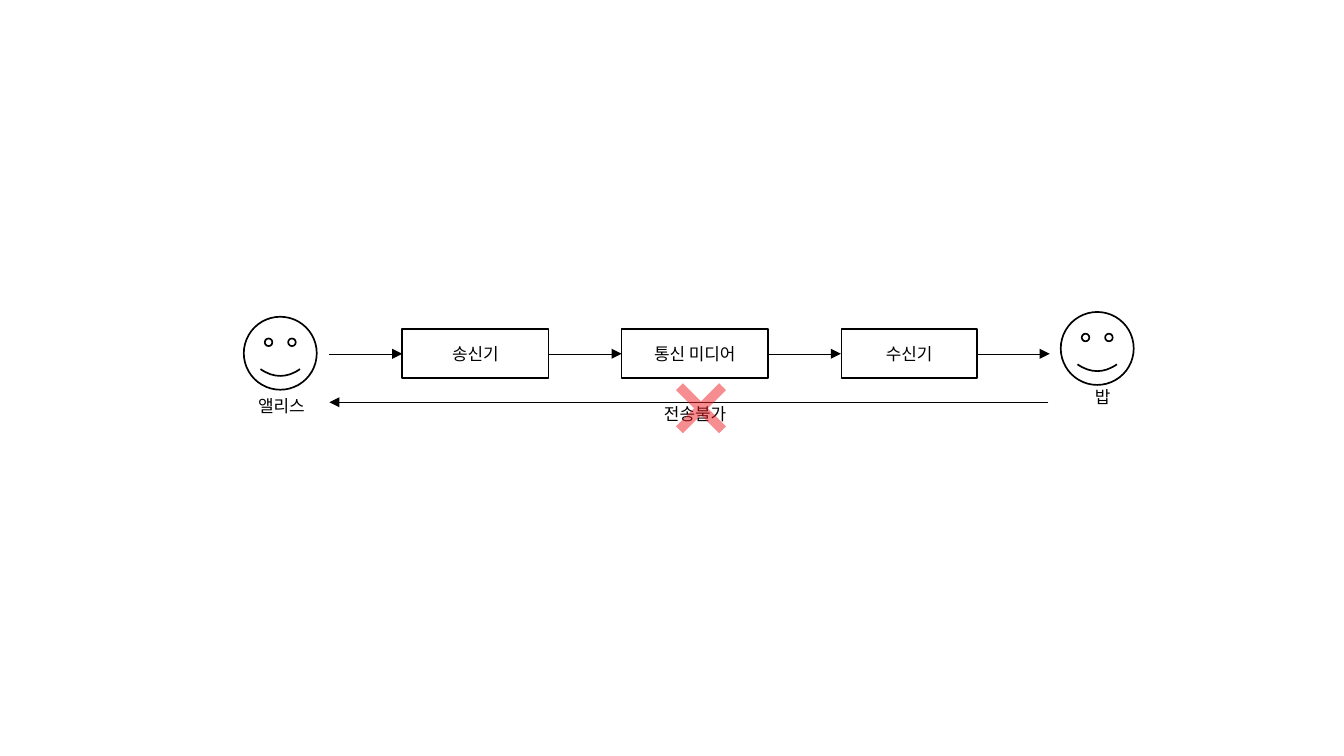
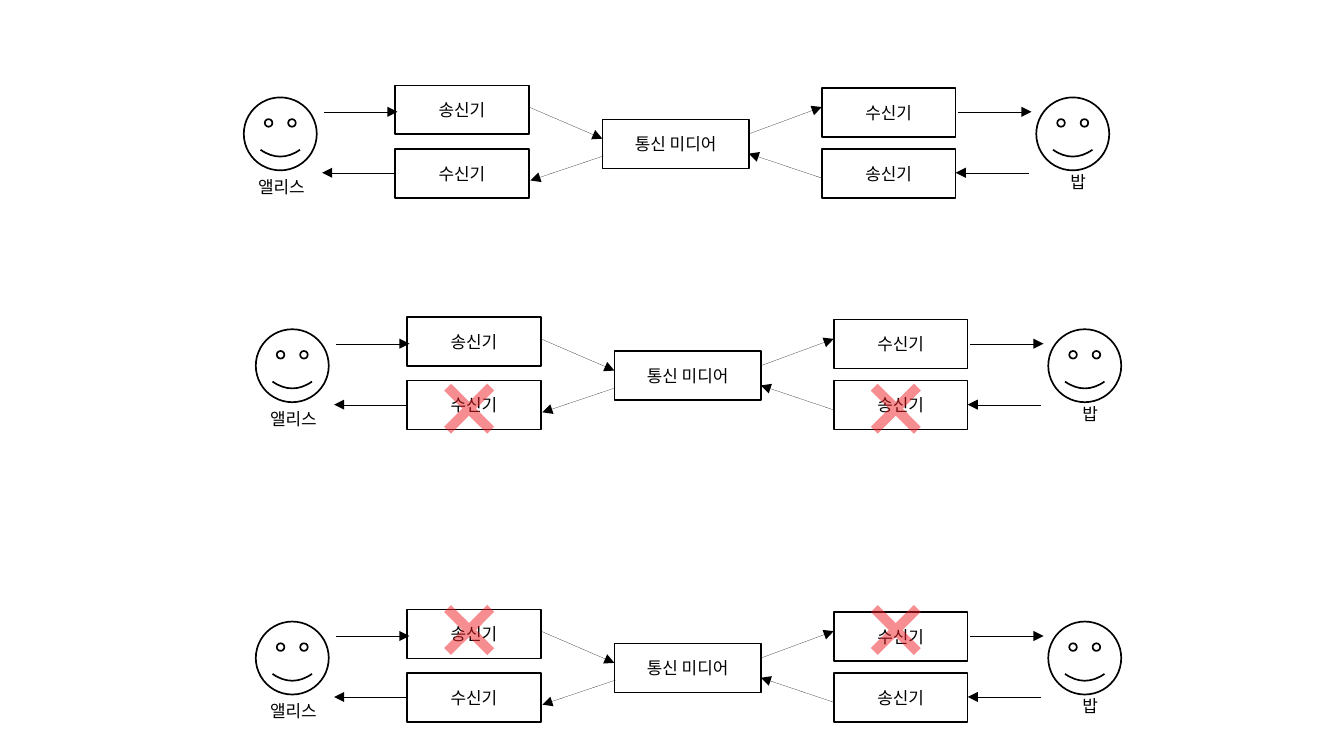
from lxml import etree
from pptx import Presentation
from pptx.dml.color import RGBColor
from pptx.enum import shapes, text
from pptx.oxml.ns import qn
from pptx.util import Cm, Pt

BLACK = RGBColor(0x00, 0x00, 0x00)
RED = RGBColor(0xED, 0x1C, 0x24)
FONT, FONT_SIZE = "Arial", Pt(10)

# Sizes in cm
FACE = 1.52
BOX_HEIGHT = 1.02
CROSS = 1.27
GAP = 1.52

# Names: wording, offset from the face, width
ALICE = ("앨리스", 0.05, 1.52, 1.47)
BOB = ("밥", 0.46, 1.42, 0.81)

# One-way channel: boxes are (wording, left, width)
CHANNEL_TOP = 6.86
CHANNEL_BOXES = [
    ("송신기", 8.38, 3.05),
    ("통신 미디어", 12.95, 3.05),
    ("수신기", 17.53, 2.82),
]
CHANNEL_FACES = [(ALICE, 5.08, 6.6), (BOB, 22.1, 6.5)]
RETURN_ARROW = (21.84, 8.38, 6.86, 8.38)
RETURN_LABEL = ("전송불가", 13.21, 8.28, 2.54)
RETURN_CROSS = (13.97, 7.87)

# Two-way channel, measured from the corner of the left face
DUPLEX_FACES = [(ALICE, 0, 0), (BOB, 16.51, 0)]
DUPLEX_BOXES = [
    ("송신기", 3.15, -0.25, 2.79),
    ("수신기", 12.04, -0.2, 2.79),
    ("통신 미디어", 7.47, 0.46, 3.05),
    ("수신기", 3.15, 1.07, 2.79),
    ("송신기", 12.04, 1.07, 2.79),
]
DUPLEX_ARROWS = [
    (1.68, 0.3, 3.2, 0.3),
    (5.94, 0.2, 7.47, 0.86),
    (10.52, 0.76, 12.04, 0.2),
    (14.88, 0.3, 16.41, 0.3),
    (16.36, 1.57, 14.83, 1.57),
    (12.04, 1.68, 10.52, 1.17),
    (7.49, 1.22, 5.97, 1.73),
    (3.15, 1.57, 1.63, 1.57),
]
CROSS_LEFTS = (3.81, 12.7)
# Panels: left, top, height of the crosses (None for no crosses)
DUPLEX_PANELS = [
    (5.08, 2.03, None),
    (5.33, 6.86, 1.02),
    (5.33, 12.95, -0.46),
]


def write(shape, wording, alignment, wrap=False):
    frame = shape.text_frame
    frame.word_wrap = wrap
    paragraph = frame.paragraphs[0]
    paragraph.alignment = alignment
    run = paragraph.add_run()
    run.text = wording
    run.font.name = FONT
    run.font.size = FONT_SIZE
    run.font.color.rgb = BLACK


def add_outline(parent, kind, left, top, width, height):
    shape = parent.add_shape(kind, Cm(left), Cm(top), Cm(width), Cm(height))
    shape.shadow.inherit = False
    shape.fill.background()
    shape.line.color.rgb = BLACK
    shape.line.width = Pt(1)
    return shape


def add_box(slide, wording, left, top, width):
    box = add_outline(slide.shapes, shapes.MSO_SHAPE.RECTANGLE,
                      left, top, width, BOX_HEIGHT)
    box.text_frame.vertical_anchor = text.MSO_ANCHOR.MIDDLE
    write(box, wording, text.PP_ALIGN.CENTER)


def add_label(parent, wording, left, top, width, alignment, wrap=False):
    label = parent.add_textbox(Cm(left), Cm(top), Cm(width), Cm(0.76))
    write(label, wording, alignment, wrap)
    label.text_frame.auto_size = text.MSO_AUTO_SIZE.SHAPE_TO_FIT_TEXT


def add_face(slide, name, left, top):
    wording, dx, dy, width = name
    group = slide.shapes.add_group_shape()
    face = add_outline(group.shapes, shapes.MSO_SHAPE.SMILEY_FACE,
                       left, top, FACE, FACE)
    face.adjustments[0] = 0.09
    add_label(group.shapes, wording, left + dx, top + dy, width,
              text.PP_ALIGN.LEFT)


def add_arrow(slide, x1, y1, x2, y2):
    arrow = slide.shapes.add_connector(shapes.MSO_CONNECTOR.STRAIGHT,
                                       Cm(x1), Cm(y1), Cm(x2), Cm(y2))
    arrow.line.color.rgb = BLACK
    properties = arrow.element.spPr
    # Hairline with an arrowhead and no shadow
    line = properties.find(qn("a:ln"))
    line.set("w", "0")
    etree.SubElement(line, qn("a:tailEnd"), type="triangle")
    etree.SubElement(properties, qn("a:effectLst"))


def add_cross(slide, left, top):
    cross = slide.shapes.add_shape(shapes.MSO_SHAPE.CROSS, Cm(left), Cm(top),
                                   Cm(CROSS), Cm(CROSS))
    cross.shadow.inherit = False
    cross.adjustments[0] = 0.42
    cross.rotation = 315
    cross.line.fill.background()
    cross.fill.solid()
    cross.fill.fore_color.rgb = RED
    color = cross.element.spPr.find(qn("a:solidFill")).find(qn("a:srgbClr"))
    etree.SubElement(color, qn("a:alpha"), val="50000")


def draw_one_way(slide):
    middle = CHANNEL_TOP + BOX_HEIGHT / 2
    for wording, left, width in CHANNEL_BOXES:
        add_box(slide, wording, left, CHANNEL_TOP, width)
    # One arrow into the first box, then one out of each box
    first_left = CHANNEL_BOXES[0][1]
    starts = [first_left - GAP]
    starts += [left + width for _, left, width in CHANNEL_BOXES]
    for start in starts:
        add_arrow(slide, start, middle, start + GAP, middle)
    for face in CHANNEL_FACES:
        add_face(slide, *face)
    # Blocked way back
    add_arrow(slide, *RETURN_ARROW)
    add_label(slide.shapes, *RETURN_LABEL, text.PP_ALIGN.CENTER, wrap=True)
    add_cross(slide, *RETURN_CROSS)


def draw_two_way(slide, left, top, cross_top):
    for wording, dx, dy, width in DUPLEX_BOXES:
        add_box(slide, wording, left + dx, top + dy, width)
    for x1, y1, x2, y2 in DUPLEX_ARROWS:
        add_arrow(slide, left + x1, top + y1, left + x2, top + y2)
    for name, dx, dy in DUPLEX_FACES:
        add_face(slide, name, left + dx, top + dy)
    if cross_top is not None:
        for dx in CROSS_LEFTS:
            add_cross(slide, left + dx, top + cross_top)


def main():
    presentation = Presentation()
    presentation.slide_width = Cm(28)
    presentation.slide_height = Cm(15.75)
    blank = presentation.slide_layouts[6]
    draw_one_way(presentation.slides.add_slide(blank))
    slide = presentation.slides.add_slide(blank)
    for panel in DUPLEX_PANELS:
        draw_two_way(slide, *panel)
    presentation.save("out.pptx")


if __name__ == "__main__":
    main()
